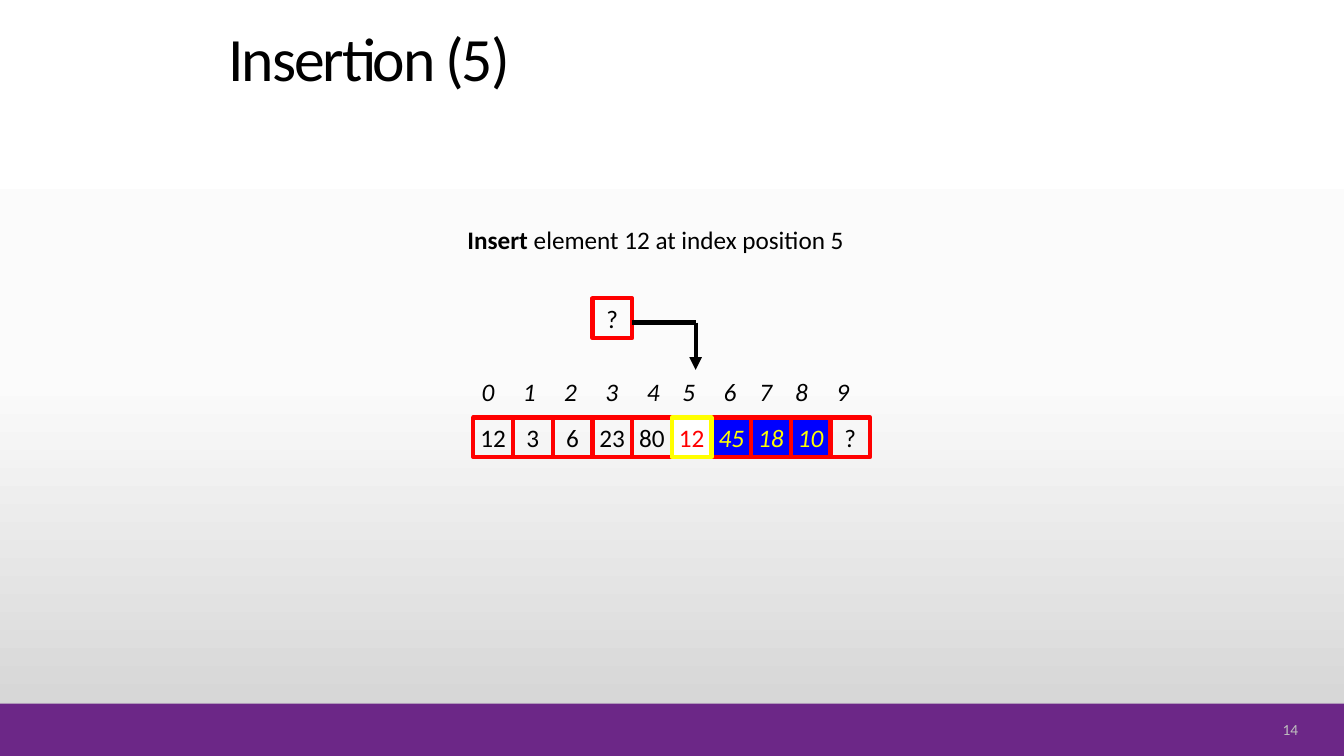
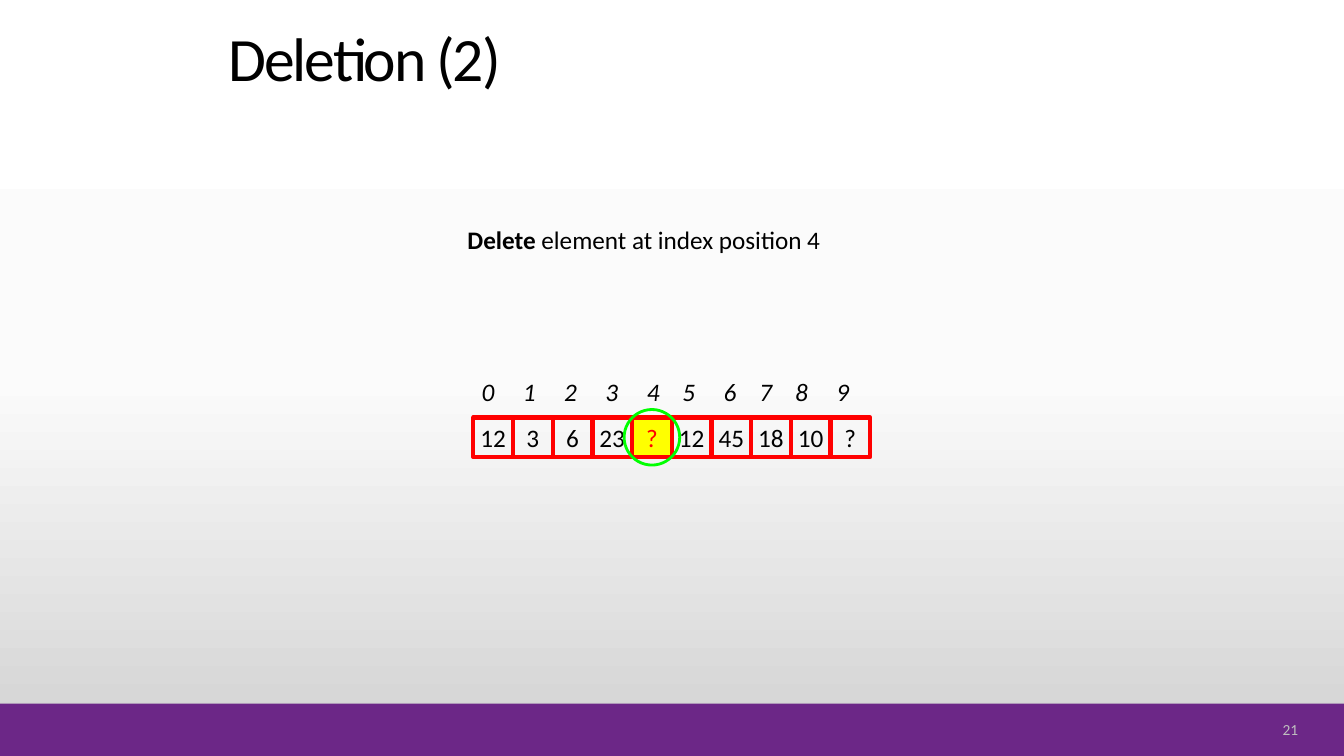
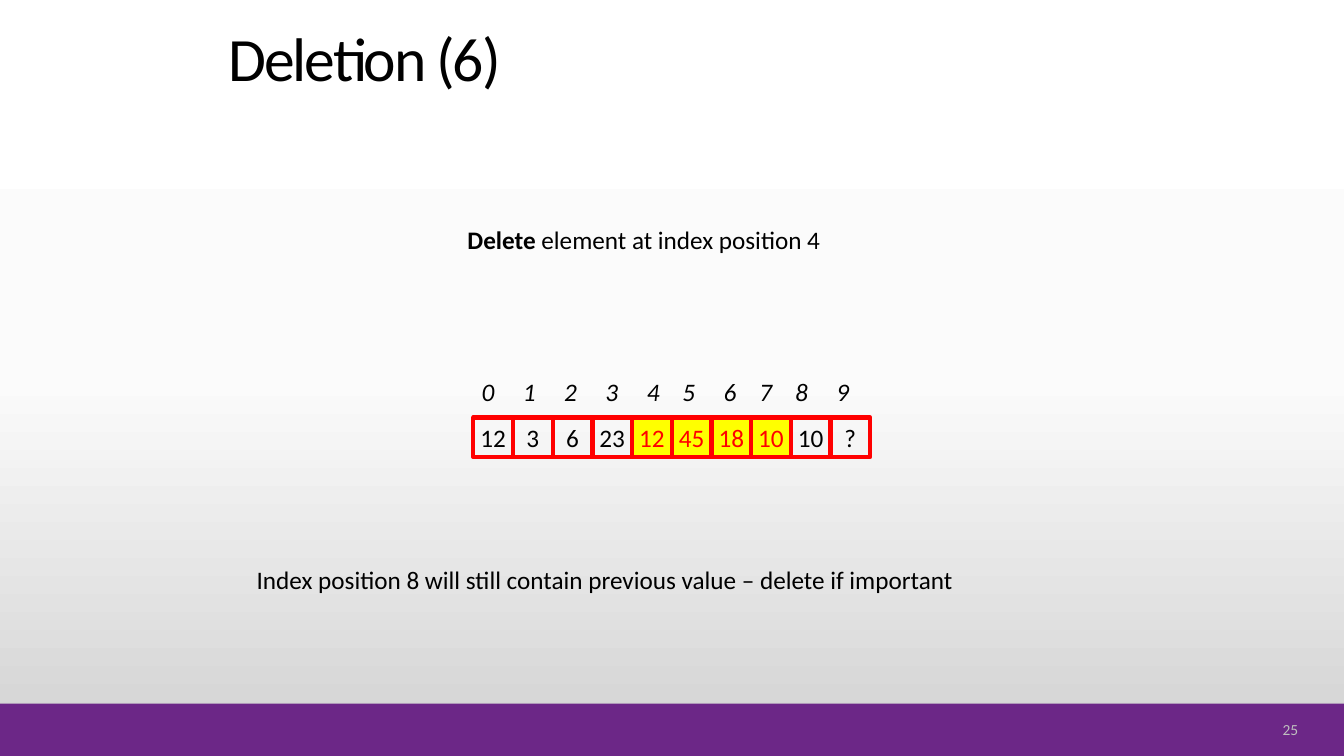
from dataclasses import dataclass
from itertools import accumulate
from typing import Any, Optional

from lxml import etree
from pptx import Presentation
from pptx.dml.color import RGBColor
from pptx.enum.shapes import MSO_CONNECTOR, MSO_SHAPE
from pptx.enum.text import MSO_ANCHOR, MSO_AUTO_SIZE, PP_ALIGN
from pptx.oxml.ns import qn
from pptx.util import Cm, Pt

RECT, OVAL = MSO_SHAPE.RECTANGLE, MSO_SHAPE.OVAL
STRAIGHT = MSO_CONNECTOR.STRAIGHT
TOP, MIDDLE, BOTTOM = MSO_ANCHOR.TOP, MSO_ANCHOR.MIDDLE, MSO_ANCHOR.BOTTOM
LEFT, CENTER, RIGHT = PP_ALIGN.LEFT, PP_ALIGN.CENTER, PP_ALIGN.RIGHT
GROW, FIXED = MSO_AUTO_SIZE.SHAPE_TO_FIT_TEXT, MSO_AUTO_SIZE.NONE


@dataclass(frozen=True)
class Theme:
    font: str = "Calibri"
    title_size: float = 44
    body_size: float = 18
    number_size: float = 11
    cell_line: float = 3
    ring_line: float = 2
    black: str = "000000"
    white: str = "FFFFFF"
    red: str = "FF0000"
    yellow: str = "FFFF00"
    blue: str = "0000FF"
    green: str = "00FF00"
    band: str = "6C2787"
    number: str = "BFBFBF"
    backdrop: tuple = ((0, "FFFFFF"), (50, "FBFBFB"), (100, "D1D1D1"))


T = Theme()


@dataclass(frozen=True)
class CellStyle:
    fill: Optional[str] = None
    line: str = T.red
    color: str = T.black
    italic: bool = False
    in_front: bool = False


PLAIN = CellStyle()
MOVED = CellStyle(fill=T.blue, color=T.yellow, italic=True)
INSERTED = CellStyle(fill=T.white, line=T.yellow, color=T.red, in_front=True)
CHANGED = CellStyle(fill=T.yellow, color=T.red)


@dataclass(frozen=True)
class ArraySlide:
    title: str
    number: int
    verb: str
    task: str
    task_width: float
    values: str
    styles: dict[int, CellStyle]
    held: Optional[int] = None      # index under the waiting value
    ringed: Optional[int] = None    # index inside the ring
    note: str = ""


DELETE = dict(verb="Delete", task=" element at index position 4", task_width=9.5)
SLIDES = [
    ArraySlide("Insertion (5)", 14, "Insert", " element 12 at index position 5", 10.11,
               "12 3 6 23 80 12 45 18 10 ?",
               {5: INSERTED, 6: MOVED, 7: MOVED, 8: MOVED}, held=3),
    ArraySlide("Deletion (2)", 21, **DELETE, values="12 3 6 23 ? 12 45 18 10 ?",
               styles={4: CHANGED}, ringed=4),
    ArraySlide("Deletion (6)", 25, **DELETE, values="12 3 6 23 12 45 18 10 10 ?",
               styles=dict.fromkeys(range(4, 8), CHANGED),
               note="Index position 8 will still contain previous value – delete if important"),
]

# Array geometry, in cm
CELL = 1.0
ROW_X, ROW_Y = 11.93, 10.52
HELD_Y = ROW_Y - 3 * CELL
RING_MARGIN = 0.2
WIDE, NARROW = 1.04, 0.9
INDEX_STEPS = [WIDE, WIDE, WIDE, WIDE, NARROW, WIDE, NARROW, NARROW, WIDE]


def rgb(color: str) -> RGBColor:
    return RGBColor.from_string(color)


def set_all(target: Any, values: dict[str, Any]) -> None:
    for name, value in values.items():
        setattr(target, name, value)


def add_run(p: Any, text: str, size: float = T.body_size, color: str = T.black,
            **extra: Any) -> Any:
    r = p.add_run()
    r.text = text
    set_all(r.font, {"name": T.font, "size": Pt(size), **extra})
    r.font.color.rgb = rgb(color)
    return r


def add_text(s: Any, x: float, y: float, w: float, h: float, align: Any = LEFT,
             **frame: Any) -> Any:
    """Add a text box and return its empty first paragraph."""
    tf = s.shapes.add_textbox(Cm(x), Cm(y), Cm(w), Cm(h)).text_frame
    set_all(tf, {"word_wrap": True, "auto_size": GROW, "vertical_anchor": TOP, **frame})
    tf.paragraphs[0].alignment = align
    return tf.paragraphs[0]


def add_shape(s: Any, kind: Any, x: float, y: float, w: float, h: float,
              fill: Optional[str] = None, line: Optional[str] = None,
              width: float = T.cell_line) -> Any:
    sp = s.shapes.add_shape(kind, Cm(x), Cm(y), Cm(w), Cm(h))
    sp.shadow.inherit = False
    if fill:
        sp.fill.solid()
        sp.fill.fore_color.rgb = rgb(fill)
    else:
        sp.fill.background()
    if line:
        sp.line.color.rgb = rgb(line)
        sp.line.width = Pt(width)
    else:
        sp.line.fill.background()
    return sp


def add_cell(s: Any, index: int, y: float, value: str, style: CellStyle) -> None:
    sp = add_shape(s, RECT, ROW_X + index * CELL, y, CELL, CELL, style.fill, style.line)
    tf = sp.text_frame
    set_all(tf, {"word_wrap": False, "vertical_anchor": TOP})
    p = tf.paragraphs[0]
    p.alignment = CENTER
    add_run(p, value, color=style.color, italic=style.italic)


def add_line(s: Any, x1: float, y1: float, x2: float, y2: float, arrow: bool = False) -> None:
    line = s.shapes.add_connector(STRAIGHT, Cm(x1), Cm(y1), Cm(x2), Cm(y2))
    line.line.color.rgb = rgb(T.black)
    line.line.width = Pt(T.cell_line)
    if arrow:
        etree.SubElement(line.line._get_or_add_ln(), qn("a:tailEnd"), type="triangle")
    etree.SubElement(line._element.spPr, qn("a:effectLst"))


def set_backdrop(master: Any) -> None:
    fill = master.background.fill
    fill.gradient()
    fill.gradient_angle = 270
    stops = next(master.element.iter(qn("a:gsLst")))
    for old in list(stops):
        stops.remove(old)
    for percent, color in T.backdrop:
        gs = etree.SubElement(stops, qn("a:gs"), pos=str(percent * 1000))
        etree.SubElement(gs, qn("a:srgbClr"), val=color)


def add_frame(s: Any, title: str, number: int) -> None:
    """Band, title and slide number."""
    add_shape(s, RECT, 0, 17.73, 33.87, 1.32, fill=T.band)
    p = add_text(s, 5.51, 0.33, 20.96, 2.18, auto_size=FIXED, vertical_anchor=BOTTOM)
    p.line_spacing = 0.9
    r = add_run(p, title, T.title_size)
    r.font._element.set("spc", "-150")
    p = add_text(s, 31.06, 18.08, 1.91, 0.58, RIGHT, auto_size=FIXED, vertical_anchor=MIDDLE)
    add_run(p, str(number), T.number_size, T.number)


def add_indexes(s: Any) -> None:
    p = add_text(s, 11.89, 9.37, 10.06, 1.02)
    tabs = etree.SubElement(p._p.get_or_add_pPr(), qn("a:tabLst"))
    for stop in accumulate(INDEX_STEPS):
        etree.SubElement(tabs, qn("a:tab"), pos=str(Cm(stop)), algn="l")
    add_run(p, "\t".join(str(i) for i in range(len(INDEX_STEPS) + 1)), italic=True)


def add_array_slide(prs: Any, data: ArraySlide) -> None:
    s = prs.slides.add_slide(prs.slide_layouts[6])
    add_frame(s, data.title, data.number)

    # Task
    p = add_text(s, 11.53, 5.54, data.task_width, 1.02, word_wrap=False)
    add_run(p, data.verb, bold=True)
    add_run(p, data.task)

    # Array, with highlighted borders on top
    add_indexes(s)
    cells = [(i, v, data.styles.get(i, PLAIN)) for i, v in enumerate(data.values.split())]
    for i, value, style in sorted(cells, key=lambda cell: cell[2].in_front):
        add_cell(s, i, ROW_Y, value, style)

    # Waiting value and its arrow
    if data.held is not None:
        add_cell(s, data.held, HELD_Y, "?", PLAIN)
        start, y = ROW_X + (data.held + 1) * CELL, HELD_Y + 0.61
        corner = start + 1.6
        add_line(s, start, y, corner, y)
        add_line(s, corner, y, corner, 9.32, arrow=True)

    # Ring
    if data.ringed is not None:
        size = CELL + 2 * RING_MARGIN
        add_shape(s, OVAL, ROW_X + data.ringed * CELL - RING_MARGIN, ROW_Y - RING_MARGIN,
                  size, size, line=T.green, width=T.ring_line)

    # Note
    if data.note:
        add_run(add_text(s, 6.22, 14.1, 19.63, 1.02), data.note)


def main() -> None:
    prs = Presentation()
    set_all(prs, {"slide_width": Cm(33.87), "slide_height": Cm(19.05)})
    set_backdrop(prs.slide_master)
    for data in SLIDES:
        add_array_slide(prs, data)
    prs.save("out.pptx")


if __name__ == "__main__":
    main()
